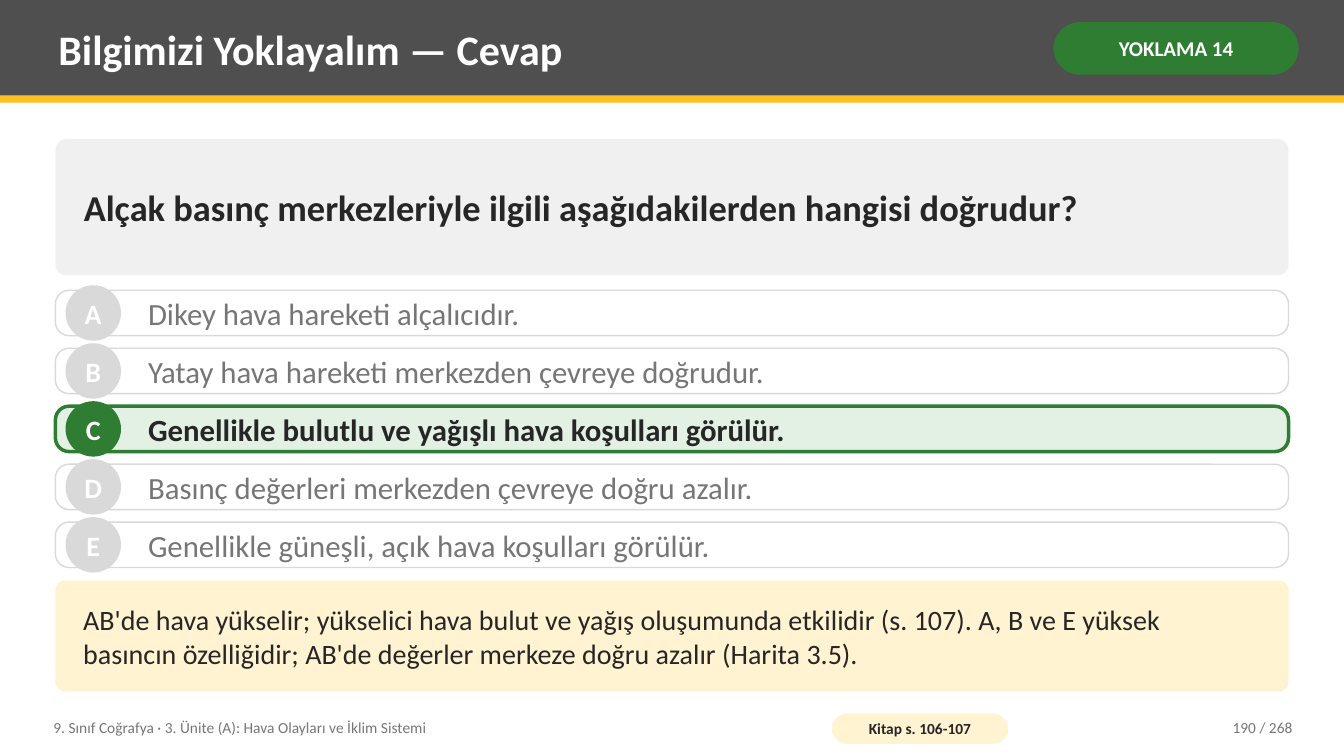
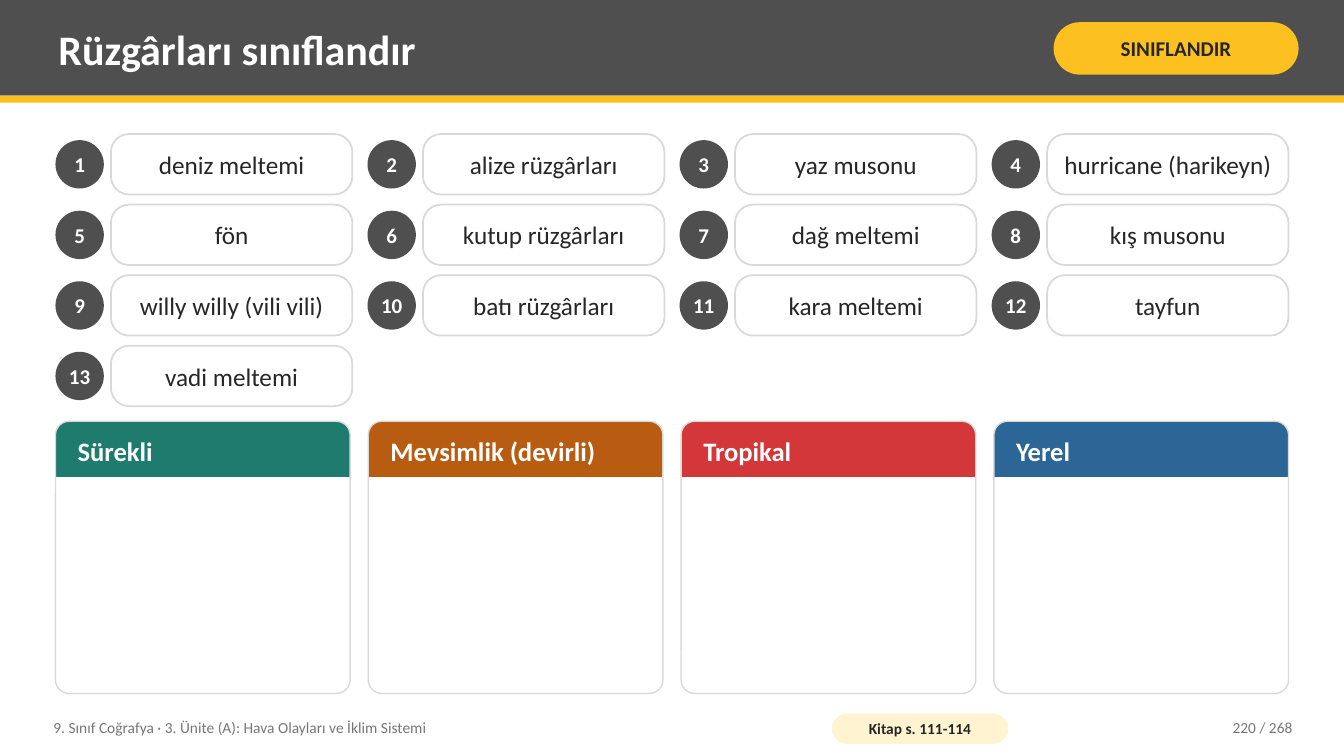
import pptx
import pptx.util
import pptx.dml.color
import pptx.enum.shapes
import pptx.enum.text

Inches = pptx.util.Inches
Pt = pptx.util.Pt
KIND = pptx.enum.shapes.MSO_SHAPE
ALIGN = pptx.enum.text.PP_ALIGN
RECT, ROUND, OVAL, CAP = (KIND.RECTANGLE, KIND.ROUNDED_RECTANGLE, KIND.OVAL,
                          KIND.ROUND_2_SAME_RECTANGLE)

DARK, GOLD, GREEN, INK = "4F4F4F", "FCC021", "2E7D32", "262626"
GREY, RULE, WHITE = "767676", "D9D9D9", "FFFFFF"
CREAM, MINT, PALE = "FFF3D1", "E3F1E4", "F0F0F0"
LEFT, WIDE = 0.55, 12.23


def color(code):
    return pptx.dml.color.RGBColor.from_string(code)


def split(count, gap):
    width = (WIDE - gap * (count - 1)) / count
    return width, [LEFT + i * (width + gap) for i in range(count)]


class Deck:
    font = "Calibri"
    total = 268
    course = "9. Sınıf Coğrafya · 3. Ünite (A): Hava Olayları ve İklim Sistemi"

    def __init__(self):
        self.show = pptx.Presentation()
        self.show.slide_width = Inches(13.33)
        self.show.slide_height = Inches(7.5)

    def letter(self, item, text, size, ink, bold=False, align=ALIGN.LEFT,
               pad=(0.08, 0.04, 0.08, 0.04), wrap=True):
        frame = item.text_frame
        frame.text = text
        left, top, right, base = map(Inches, pad)
        look = {"margin_left": left, "margin_top": top,
                "margin_right": right, "margin_bottom": base,
                "word_wrap": wrap,
                "auto_size": pptx.enum.text.MSO_AUTO_SIZE.NONE,
                "vertical_anchor": pptx.enum.text.MSO_ANCHOR.MIDDLE}
        for key, value in look.items():
            setattr(frame, key, value)
        line = frame.paragraphs[0]
        line.alignment = align
        for key, value in {"name": self.font, "size": Pt(size), "bold": bold}.items():
            setattr(line.font, key, value)
        line.font.color.rgb = color(ink)

    def shape(self, kind, box, fill=None, edge=None, thick=1, bend=None):
        item = self.slide.shapes.add_shape(kind, *map(Inches, box))
        item.shadow.inherit = False
        if bend is not None:
            item.adjustments[0] = bend
        if fill:
            item.fill.solid()
            item.fill.fore_color.rgb = color(fill)
        else:
            item.fill.background()
        if edge:
            item.line.color.rgb = color(edge)
            item.line.width = Pt(thick)
        else:
            item.line.fill.background()
        return item

    def label(self, box, text, size, ink, **look):
        self.letter(self.slide.shapes.add_textbox(*map(Inches, box)), text, size, ink, **look)

    def pill(self, box, text, size, fill, ink, pad):
        item = self.shape(ROUND, box, fill, bend=0.5)
        self.letter(item, text, size, ink, bold=True, align=ALIGN.CENTER, pad=pad)

    def card(self, top, height, text, size, fill, bold=False):
        item = self.shape(ROUND, (LEFT, top, WIDE, height), fill, bend=0.08)
        self.letter(item, text, size, INK, bold=bold, pad=(0.25, 0.08, 0.25, 0.08))

    def badge(self, left, top, side, text, size, fill):
        item = self.shape(OVAL, (left, top, side, side), fill)
        self.letter(item, text, size, WHITE, bold=True, align=ALIGN.CENTER,
                    pad=(0, 0, 0, 0), wrap=False)

    def choice(self, top, mark, text, right):
        fill, edge, thick, ink = (MINT, GREEN, 2.5, INK) if right else (WHITE, RULE, 1, GREY)
        item = self.shape(ROUND, (LEFT, top, WIDE, 0.45), fill, edge, thick, 0.3)
        self.letter(item, text, 22, ink, bold=right, pad=(0.88, 0.04, 0.28, 0.04))
        self.badge(LEFT + 0.1, top - 0.05, 0.55, mark, 20, edge)

    def tile(self, left, top, width, mark, text):
        self.badge(left, top + 0.06, 0.48, mark, 15, DARK)
        item = self.shape(ROUND, (left + 0.55, top, width - 0.55, 0.6), WHITE, RULE, 1.25, 0.3)
        self.letter(item, text, 18, INK, align=ALIGN.CENTER, pad=(0.06, 0, 0.06, 0))

    def panel(self, left, top, width, text, fill):
        head = self.shape(CAP, (left, top, width, 0.55), fill, bend=0.25)
        self.letter(head, text, 19, WHITE, bold=True, pad=(0.18, 0.04, 0.18, 0.04))
        self.shape(ROUND, (left, top, width, 2.7), edge=RULE, bend=0.05)

    def page(self, title, tag, fill, ink, pages, number):
        self.slide = self.show.slides.add_slide(self.show.slide_layouts[5])
        self.shape(RECT, (0, 0, 13.33, 0.95), DARK)
        stripe = self.shape(RECT, (0, 0.95, 13.33, 0.07), GOLD)
        head = self.slide.shapes.title
        stripe.element.addnext(head.element)
        box = map(Inches, (0.5, 0.07, 9.75, 0.82))
        for key, value in zip(("left", "top", "width", "height"), box):
            setattr(head, key, value)
        self.letter(head, title, 30, WHITE, bold=True)
        self.pill((10.45, 0.22, 2.43, 0.52), tag, 15, fill, ink, (0.05, 0.02, 0.05, 0.02))
        self.label((0.45, 7.04, 7.6, 0.36), self.course, 11, GREY)
        self.pill((8.25, 7.08, 1.75, 0.3), f"Kitap s. {pages}", 11, CREAM, INK,
                  (0.04, 0, 0.04, 0))
        self.label((11.3, 7.04, 1.6, 0.36), f"{number} / {self.total}", 11, GREY,
                   align=ALIGN.RIGHT)


def quiz(deck):
    deck.page("Bilgimizi Yoklayalım — Cevap", "YOKLAMA 14", GREEN, WHITE, "106-107", 190)
    deck.card(1.38, 1.35, "Alçak basınç merkezleriyle ilgili aşağıdakilerden hangisi doğrudur?",
              26, PALE, bold=True)
    lines = ["Dikey hava hareketi alçalıcıdır.",
             "Yatay hava hareketi merkezden çevreye doğrudur.",
             "Genellikle bulutlu ve yağışlı hava koşulları görülür.",
             "Basınç değerleri merkezden çevreye doğru azalır.",
             "Genellikle güneşli, açık hava koşulları görülür."]
    for i, (mark, text) in enumerate(zip("ABCDE", lines)):
        deck.choice(2.88 + i * 2.3 / 4, mark, text, mark == "C")
    deck.card(5.76, 1.1, "AB'de hava yükselir; yükselici hava bulut ve yağış oluşumunda "
              "etkilidir (s. 107). A, B ve E yüksek basıncın özelliğidir; AB'de değerler "
              "merkeze doğru azalır (Harita 3.5).", 20, CREAM)


def group(deck):
    deck.page("Rüzgârları sınıflandır", "SINIFLANDIR", GOLD, INK, "111-114", 220)
    winds = ["deniz meltemi", "alize rüzgârları", "yaz musonu", "hurricane (harikeyn)",
             "fön", "kutup rüzgârları", "dağ meltemi", "kış musonu",
             "willy willy (vili vili)", "batı rüzgârları", "kara meltemi", "tayfun",
             "vadi meltemi"]
    width, lefts = split(4, 0.15)
    for i, wind in enumerate(winds):
        row, col = divmod(i, 4)
        deck.tile(lefts[col], 1.33 + row * 0.7, width, str(i + 1), wind)
    kinds = {"Sürekli": "1E7B6E", "Mevsimlik (devirli)": "B85C12",
             "Tropikal": "D3373A", "Yerel": "2C6696"}
    width, lefts = split(4, 0.18)
    for left, (name, fill) in zip(lefts, kinds.items()):
        deck.panel(left, 4.18, width, name, fill)


def main():
    deck = Deck()
    quiz(deck)
    group(deck)
    deck.show.save("out.pptx")


if __name__ == "__main__":
    main()
